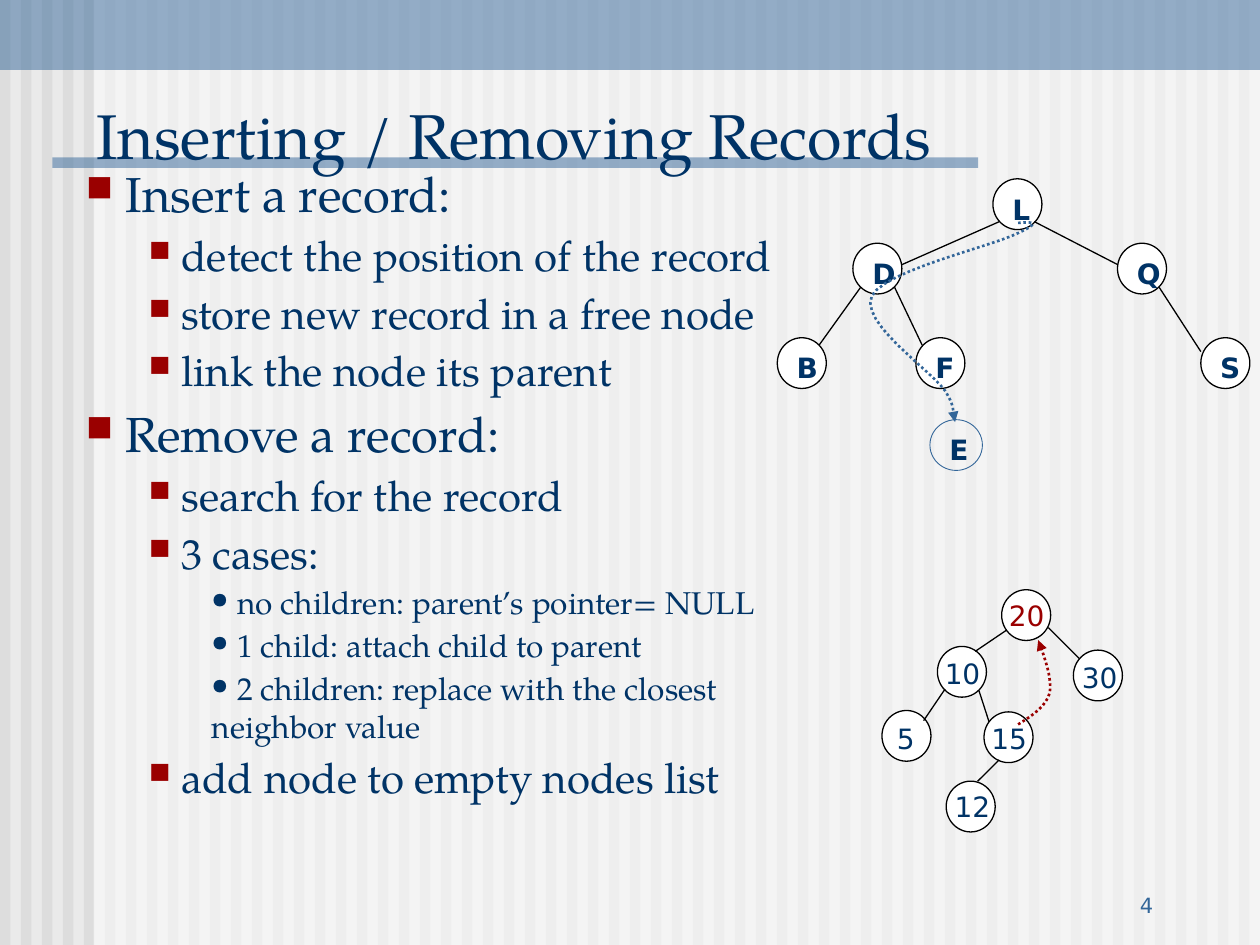
from dataclasses import dataclass

from lxml import etree
from pptx import Presentation
from pptx import util as u
from pptx.dml.color import RGBColor
from pptx.enum import dml, shapes, text
from pptx.oxml import ns

NAVY = RGBColor(0x00, 0x33, 0x66)
BLUE = RGBColor(0x33, 0x66, 0x99)
RED = RGBColor(0x9A, 0x00, 0x00)
BLACK = RGBColor(0x00, 0x00, 0x00)
WHITE = RGBColor(0xFF, 0xFF, 0xFF)
STRIPE = RGBColor(0xDD, 0xDD, 0xDD)
PAPER = RGBColor(0xEA, 0xEA, 0xEA)
SERIF = "TeX Gyre Pagella"
SANS = "DejaVu Sans"
WIDTH, HEIGHT = 720, 540
Point = tuple[float, float]


@dataclass(frozen=True)
class Node:
    label: str
    left: float
    top: float
    label_dx: float = 4
    label_dy: float = 4
    width: float = 28
    color: RGBColor = NAVY
    bold: bool = True
    fill: RGBColor | None = WHITE
    line: RGBColor = BLACK
    line_width: float = 0.75


@dataclass(frozen=True)
class Edge:
    start: Point
    end: Point


@dataclass(frozen=True)
class Route:
    color: RGBColor
    start: Point
    curves: tuple[tuple[Point, Point, Point], ...]


@dataclass(frozen=True)
class Level:
    size: float
    margin: float
    bullet: str
    bullet_font: str
    bullet_color: RGBColor
    bullet_percent: int


LEVELS = (
    Level(28, 0, "■", "OpenSymbol", RED, 75),
    Level(24, 36, "■", "OpenSymbol", RED, 70),
    Level(18, 72, "•", SERIF, NAVY, 100),
)
OUTLINE = (
    (0, "Insert a record:"),
    (1, "detect the position of the record"),
    (1, "store new record in a free node"),
    (1, "link the node its parent"),
    (0, "Remove a record:"),
    (1, "search for the record"),
    (1, "3 cases:"),
    (2, "no children: parent’s pointer= NULL"),
    (2, "1 child: attach child to parent"),
    (2, "2 children: replace with the closest neighbor value"),
    (1, "add node to empty nodes list"),
)
INSERT_NODES = (
    Node("L", 567.4, 102.2),
    Node("D", 487.4, 139),
    Node("Q", 638.6, 139),
    Node("B", 444.2, 193),
    Node("F", 523.4, 193),
    Node("S", 686.2, 193),
    Node("E", 531.4, 239.8, width=30, fill=None, line=BLUE, line_width=0.5),
)
INSERT_EDGES = (
    Edge((571, 126.7), (515.5, 151.2)),
    Edge((591.1, 126.7), (638.6, 151.2)),
    Edge((491.8, 164.2), (468, 197.3)),
    Edge((511.2, 164.2), (527, 197.3)),
    Edge((662.4, 164.2), (686.2, 200.9)),
)
INSERT_ROUTE = Route(BLUE, (581.8, 127.4), (
    ((589, 126.7), (596.2, 126.7), (581.8, 133.2)),
    ((568.1, 140.4), (504.7, 154.8), (498.2, 169.2)),
    ((491, 184.3), (532.1, 211.7), (540, 223.2)),
    ((547.9, 235.4), (542.9, 237.6), (545.8, 241.2)),
))
REMOVE_NODES = (
    Node("20", 572.4, 337, -2.9, 1.4, color=RED, bold=False),
    Node("10", 535.7, 369.4, -2.9, 2.1, bold=False),
    Node("30", 613.4, 371.5, -2.2, 2.2, bold=False),
    Node("5", 504, 406, 1.4, 2.9, bold=False),
    Node("15", 562.3, 406.8, -2.9, 2.2, bold=False),
    Node("12", 540.7, 446.4, -2.2, 1.4, bold=False),
)
REMOVE_EDGES = (
    Edge((575.3, 360), (557.3, 372.2)),
    Edge((599, 358.6), (617, 376.6)),
    Edge((540, 393.8), (527.8, 411.8)),
    Edge((559.4, 394.6), (565.2, 412.6)),
    Edge((571, 434.2), (558.7, 446.4)),
)
REMOVE_ROUTE = Route(RED, (581.8, 414), (
    ((589.7, 409), (597.6, 403.9), (599.8, 396)),
    ((601.2, 388.1), (597.6, 377.3), (593.3, 365.8)),
))


def add_band(slide, left: float, top: float, width: float, height: float,
             color: RGBColor, opacity: int = 100) -> None:
    shape = slide.shapes.add_shape(shapes.MSO_SHAPE.RECTANGLE, *map(u.Pt, (left, top, width, height)))
    shape.shadow.inherit = False
    shape.line.fill.background()
    shape.fill.solid()
    shape.fill.fore_color.rgb = color
    if opacity < 100:
        color_element = shape.fill._xPr.find(".//" + ns.qn("a:srgbClr"))
        etree.SubElement(color_element, ns.qn("a:alpha"), val=str(opacity * 1000))


def add_frame(slide, left: float, top: float, width: float, height: float,
              anchor=text.MSO_ANCHOR.TOP):
    frame = slide.shapes.add_textbox(*map(u.Pt, (left, top, width, height))).text_frame
    frame.word_wrap = True
    frame.vertical_anchor = anchor
    return frame


def format_runs(paragraph, size: float, name: str, color: RGBColor, bold: bool = False) -> None:
    for run in paragraph.runs:
        run.font.size = u.Pt(size)
        run.font.name = name
        run.font.color.rgb = color
        run.font.bold = bold


def add_outline(slide) -> None:
    frame = add_frame(slide, 42, 90, 408, 408)
    frame.text = "\n".join(f" {words}" for _, words in OUTLINE)
    for paragraph, (depth, _) in zip(frame.paragraphs, OUTLINE):
        level = LEVELS[depth]
        paragraph.level = depth
        paragraph.space_before = u.Pt(round(level.size * 0.17, 2))
        format_runs(paragraph, level.size, SERIF, NAVY)
        properties = paragraph._p.get_or_add_pPr()
        properties.set("marL", str(u.Pt(level.margin)))
        properties.set("indent", "0")
        bullet_color = etree.SubElement(properties, ns.qn("a:buClr"))
        etree.SubElement(bullet_color, ns.qn("a:srgbClr"), val=str(level.bullet_color))
        etree.SubElement(properties, ns.qn("a:buSzPct"), val=str(level.bullet_percent * 1000))
        etree.SubElement(properties, ns.qn("a:buFont"), typeface=level.bullet_font)
        etree.SubElement(properties, ns.qn("a:buChar"), char=level.bullet)


def add_node(slide, node: Node) -> None:
    shape = slide.shapes.add_shape(
        shapes.MSO_SHAPE.OVAL, *map(u.Pt, (node.left, node.top, node.width, 29)))
    shape.shadow.inherit = False
    if node.fill is None:
        shape.fill.background()
    else:
        shape.fill.solid()
        shape.fill.fore_color.rgb = node.fill
    shape.line.color.rgb = node.line
    shape.line.width = u.Pt(node.line_width)
    frame = add_frame(slide, node.left + node.label_dx, node.top + node.label_dy, 36, 26.5)
    frame.text = node.label
    format_runs(frame.paragraphs[0], 16, SANS, node.color, node.bold)


def add_edge(slide, edge: Edge) -> None:
    connector = slide.shapes.add_connector(
        shapes.MSO_CONNECTOR.STRAIGHT, *map(u.Pt, edge.start + edge.end))
    connector.line.color.rgb = BLACK
    connector.line.width = u.Pt(0.75)
    etree.SubElement(connector._element.spPr, ns.qn("a:effectLst"))


def add_route(slide, route: Route, steps: int = 12) -> None:
    points, start = [], route.start
    for first, second, end in route.curves:
        for t in (step / steps for step in range(1, steps + 1)):
            s = 1 - t
            points.append(tuple(
                u.Pt(s**3 * a + 3 * s * s * t * b + 3 * s * t * t * c + t**3 * d)
                for a, b, c, d in zip(start, first, second, end)))
        start = end
    builder = slide.shapes.build_freeform(*map(u.Pt, route.start))
    builder.add_line_segments(points, close=False)
    shape = builder.convert_to_shape()
    shape.shadow.inherit = False
    shape.fill.background()
    shape.line.color.rgb = route.color
    shape.line.width = u.Pt(1.5)
    shape.line.dash_style = dml.MSO_LINE.ROUND_DOT
    etree.SubElement(shape.line._get_or_add_ln(), ns.qn("a:tailEnd"), type="triangle")


def main() -> None:
    presentation = Presentation()
    presentation.slide_width, presentation.slide_height = u.Pt(WIDTH), u.Pt(HEIGHT)
    slide = presentation.slides.add_slide(presentation.slide_layouts[6])
    slide.background.fill.solid()
    slide.background.fill.fore_color.rgb = PAPER
    for left in range(0, WIDTH, 12):
        add_band(slide, left, 0, 6, HEIGHT, STRIPE)
    add_band(slide, 53.5, 0, WIDTH - 53.5, HEIGHT, WHITE, 50)
    add_band(slide, 0, 0, WIDTH, 40, BLUE, 50)
    add_band(slide, 30, 90, 529, 6, BLUE, 50)

    title = add_frame(slide, 48, 42, 605, 60, text.MSO_ANCHOR.BOTTOM)
    title.text = "Inserting / Removing Records"
    format_runs(title.paragraphs[0], 36, SERIF, NAVY)
    number = add_frame(slide, 516, 492, 150, 36, text.MSO_ANCHOR.BOTTOM)
    number.text = "4"
    number.paragraphs[0].alignment = text.PP_ALIGN.RIGHT
    format_runs(number.paragraphs[0], 12, SANS, BLUE)
    add_outline(slide)

    for nodes, edges, route in ((INSERT_NODES, INSERT_EDGES, INSERT_ROUTE),
                                (REMOVE_NODES, REMOVE_EDGES, REMOVE_ROUTE)):
        for node in nodes:
            add_node(slide, node)
        for edge in edges:
            add_edge(slide, edge)
        add_route(slide, route)
    presentation.save("out.pptx")


if __name__ == "__main__":
    main()
